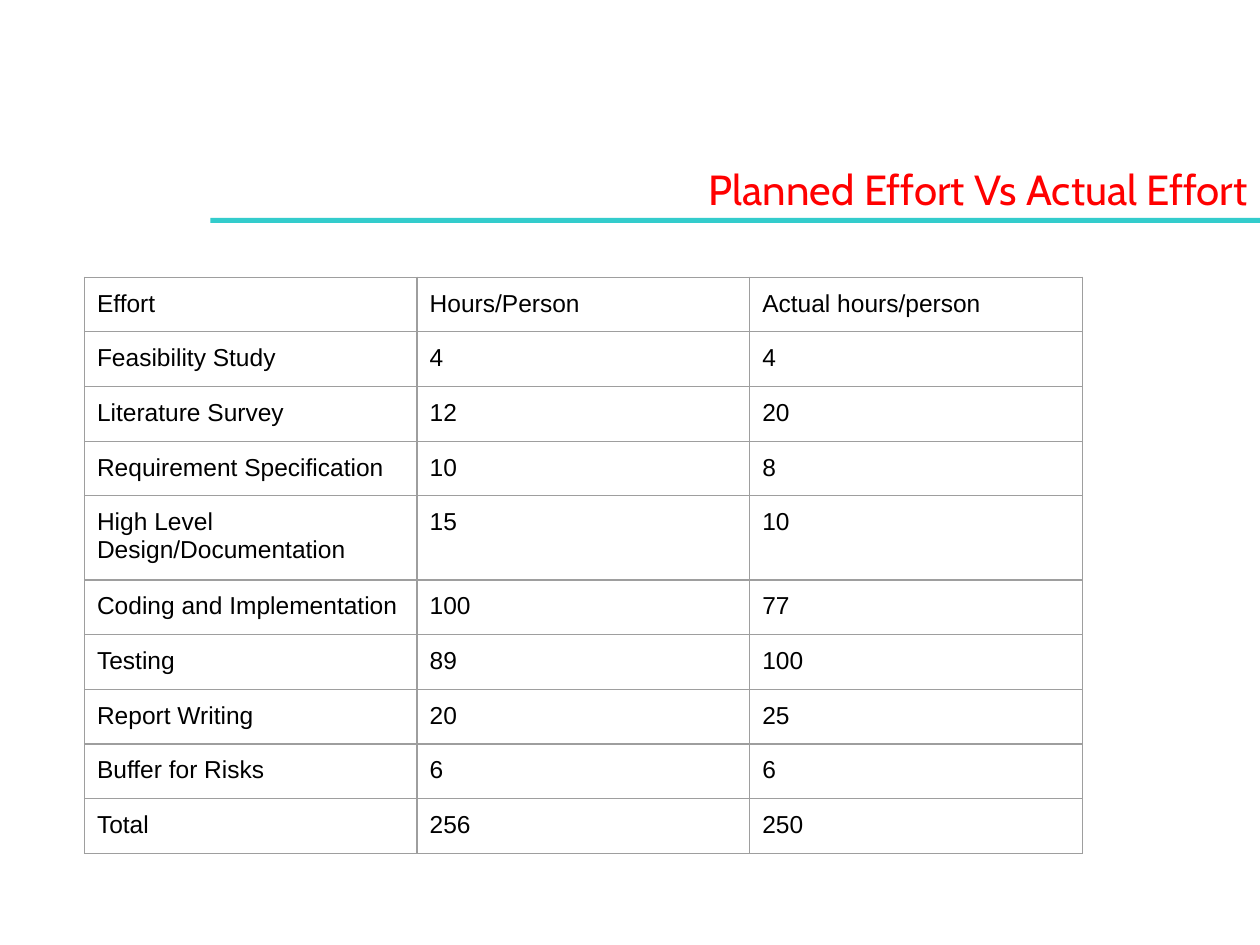
from lxml import etree
from pptx import Presentation
from pptx.dml.color import RGBColor
from pptx.enum.shapes import MSO_SHAPE
from pptx.enum.text import PP_ALIGN
from pptx.oxml.ns import qn
from pptx.util import Inches, Pt

RECTANGLE = MSO_SHAPE.RECTANGLE
RIGHT = PP_ALIGN.RIGHT
RED = RGBColor(0xFF, 0x00, 0x00)
TEAL = RGBColor(0x33, 0xCC, 0xCC)
BLACK = RGBColor(0x00, 0x00, 0x00)
GRAY = RGBColor(0x9E, 0x9E, 0x9E)

EFFORTS = [
    ("Effort", "Hours/Person", "Actual hours/person"),
    ("Feasibility Study", "4", "4"),
    ("Literature Survey", "12", "20"),
    ("Requirement Specification", "10", "8"),
    ("High Level Design/Documentation", "15", "10"),
    ("Coding and Implementation", "100", "77"),
    ("Testing", "89", "100"),
    ("Report Writing", "20", "25"),
    ("Buffer for Risks", "6", "6"),
    ("Total", "256", "250"),
]


class SlideBuilder:
    title_font = "Cabin"
    body_font = "Arial"
    title_size = Pt(24)
    body_size = Pt(14)
    cell_margin = Inches(0.1)
    border_width = Pt(0.75)

    def __init__(self, slide):
        self.slide = slide

    def format_text(self, paragraph, font_name, size, color):
        for span in paragraph.runs:
            span.font.name = font_name
            span.font.size = size
            span.font.color.rgb = color

    def title(self, text, left, top, width, height):
        box = self.slide.shapes.add_textbox(
            Inches(left), Inches(top), Inches(width), Inches(height))
        box.text_frame.word_wrap = True
        box.text_frame.text = text
        paragraph = box.text_frame.paragraphs[0]
        paragraph.alignment = RIGHT
        self.format_text(paragraph, self.title_font, self.title_size, RED)

    def bar(self, left, top, width, height, color):
        bar = self.slide.shapes.add_shape(
            RECTANGLE, Inches(left), Inches(top), Inches(width), Inches(height))
        bar.shadow.inherit = False
        bar.fill.solid()
        bar.fill.fore_color.rgb = color
        bar.line.fill.background()

    def borders(self, cell):
        properties = cell._tc.get_or_add_tcPr()
        for position, side in enumerate(("a:lnL", "a:lnR", "a:lnT", "a:lnB")):
            line = etree.Element(qn(side), w=str(self.border_width))
            fill = etree.SubElement(line, qn("a:solidFill"))
            etree.SubElement(fill, qn("a:srgbClr"), val=str(GRAY))
            properties.insert(position, line)

    def cell(self, cell, text):
        cell.text = text
        cell.margin_left = cell.margin_right = self.cell_margin
        cell.margin_top = cell.margin_bottom = self.cell_margin
        cell.fill.background()
        self.format_text(cell.text_frame.paragraphs[0],
                         self.body_font, self.body_size, BLACK)
        self.borders(cell)

    def table(self, rows, left, top, column_width, row_height):
        column_count = len(rows[0])
        table = self.slide.shapes.add_table(
            len(rows), column_count, Inches(left), Inches(top),
            Inches(column_width * column_count),
            Inches(row_height * len(rows))).table
        table.first_row = False
        table.horz_banding = False
        for column in table.columns:
            column.width = Inches(column_width)
        for row, values in zip(table.rows, rows):
            row.height = Inches(row_height)
            for cell, value in zip(row.cells, values):
                self.cell(cell, value)


def main():
    deck = Presentation()
    deck.slide_width = Inches(10)
    deck.slide_height = Inches(7.5)
    page = SlideBuilder(deck.slides.add_slide(deck.slide_layouts[6]))
    page.title("Planned Effort Vs Actual Effort", 1.5, 1.25, 8.5, 0.5)
    page.bar(1.67, 1.73, 8.33, 0.04, TEAL)
    page.table(EFFORTS, 0.67, 2.2, 2.64, 0.42)
    deck.save("out.pptx")


if __name__ == "__main__":
    main()
